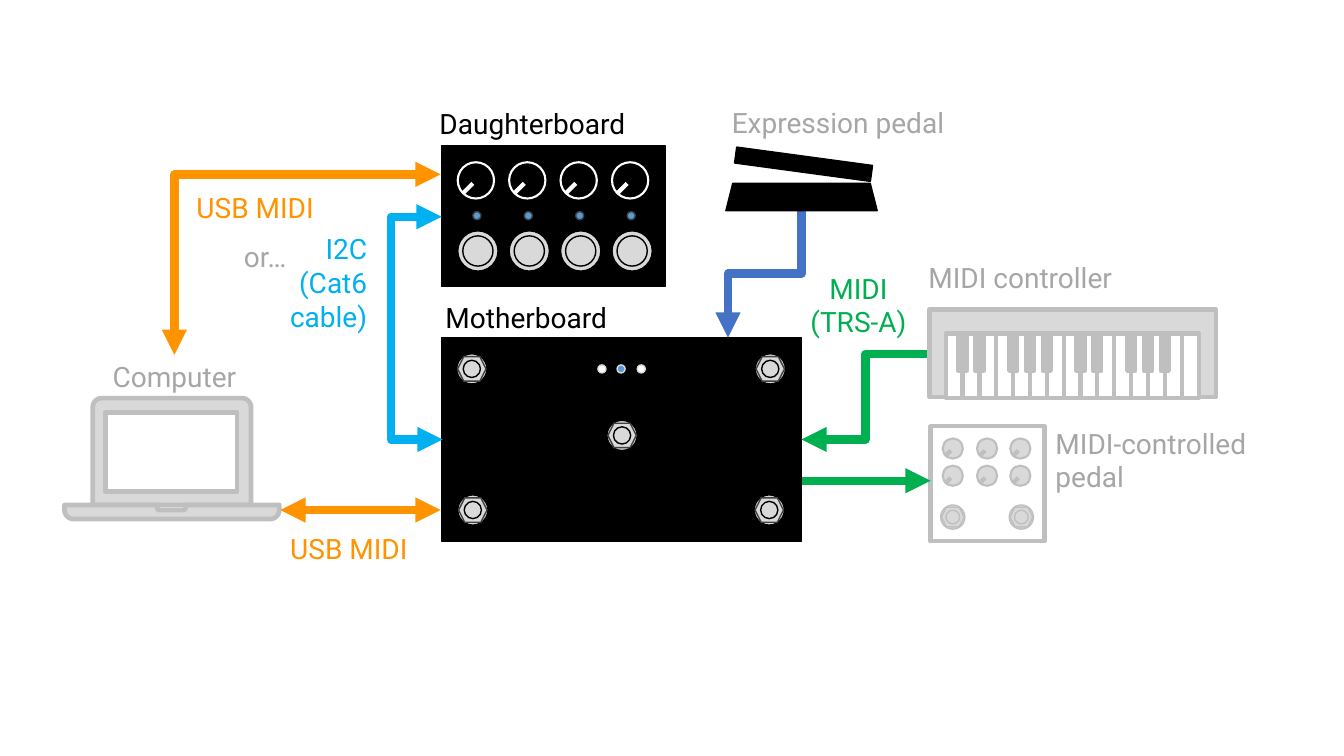
"""Build a slide showing how a MIDI motherboard connects to its surrounding devices."""
import math
from lxml import etree
from pptx import Presentation, util as u
from pptx.dml.color import RGBColor
from pptx.enum import shapes, text
from pptx.oxml.ns import qn

COLOURS = {"black": "000000", "white": "FFFFFF", "light": "D9D9D9", "mid": "BFBFBF",
           "label": "A6A6A6", "dark": "404040", "led": "5B9BD5", "usb": "FF9300",
           "i2c": "00B0F0", "midi": "00B050", "expression": "4472C4"}
RGB = {name: RGBColor.from_string(code) for name, code in COLOURS.items()}
KIND, LINK = shapes.MSO_SHAPE, shapes.MSO_CONNECTOR


def put(parent, kind, box, fill, line, width=1):
    part = parent.shapes.add_shape(kind, *map(u.Inches, box))
    part.shadow.inherit = False
    if fill:
        part.fill.solid()
        part.fill.fore_color.rgb = RGB[fill]
    else:
        part.fill.background()
    part.line.color.rgb = RGB[line]
    part.line.width = u.Pt(width)
    return part


def link(parent, kind, ends, colour, width, arrows=()):
    wire = parent.shapes.add_connector(kind, *map(u.Inches, ends))
    wire.line.color.rgb = RGB[colour]
    wire.line.width = u.Pt(width)
    properties = wire._element.spPr
    for arrow in arrows:
        etree.SubElement(properties.find(qn("a:ln")), qn(f"a:{arrow}End"), type="triangle")
    etree.SubElement(properties, qn("a:effectLst"))
    return properties


deck = Presentation()
deck.slide_width, deck.slide_height = u.Inches(13.33), u.Inches(7.5)
slide = deck.slides.add_slide(deck.slide_layouts[6])
daughterboard, motherboard, computer, pedal = [
    slide.shapes.add_group_shape() for _ in range(4)]

put(daughterboard, KIND.RECTANGLE, (4.38, 1.45, 2.22, 1.39), "black", "black")
for column in range(4):
    x = 4.54 + 0.51 * column
    put(daughterboard, KIND.OVAL, (x, 1.61, 0.36, 0.36), "black", "white", 1.5)
    link(daughterboard, LINK.STRAIGHT, (x + 0.05, 1.92, x + 0.15, 1.82), "white", 3)
    put(daughterboard, KIND.OVAL, (x + 0.15, 2.1, 0.08, 0.08), "led", "dark")
    put(daughterboard, KIND.OVAL, (x, 2.29, 0.4, 0.4), "light", "black")
    put(daughterboard, KIND.OVAL, (x + 0.05, 2.34, 0.3, 0.3), "light", "black")

put(motherboard, KIND.RECTANGLE, (4.38, 3.35, 3.57, 2.02), "black", "black")
for x, fill in ((5.93, "white"), (6.12, "led"), (6.32, "white")):
    put(motherboard, KIND.OVAL, (x, 3.62, 0.08, 0.08), fill, "light")

put(pedal, KIND.RECTANGLE, (9.23, 4.23, 1.13, 1.14), None, "mid", 3)
board_switches = [(4.68, 3.66), (7.64, 3.66), (4.69, 5.06), (7.63, 5.06), (6.17, 4.32)]
pedal_switches = [(9.45, 5.13), (10.13, 5.13)]
for device, centres, size, rim, nut in (
        (motherboard, board_switches, 0.3, "black", "dark"),
        (pedal, pedal_switches, 0.24, "mid", "mid")):
    for x, y in centres:
        for kind, across, down, line in ((KIND.OVAL, 1, 1, rim),
                                         (KIND.HEXAGON, 0.94, 0.81, nut),
                                         (KIND.OVAL, 0.57, 0.57, rim)):
            w, h = size * across, size * down
            put(device, kind, (x - w / 2, y - h / 2, w, h), "light", line)

for y in (4.35, 4.62):
    for x in (9.35, 9.69, 10.02):
        put(pedal, KIND.OVAL, (x, y, 0.2, 0.2), "light", "mid", 1.5)
        link(pedal, LINK.STRAIGHT, (x + 0.03, y + 0.17, x + 0.08, y + 0.12), "mid", 3)

arcs = {}
for name, x, y, radius, start in (
        ("lid right", 2.4, 4.04, 0.09, 0), ("lid left", 1.01, 4.04, 0.09, 90),
        ("base left", 0.73, 5.06, 0.09, 180), ("base right", 2.68, 5.06, 0.09, 270),
        ("notch left", 1.58, 5.04, 0.02, 180), ("notch right", 1.82, 5.04, 0.02, 270)):
    arcs[name] = [(x + radius * math.cos(math.radians(start + step)),
                   y - radius * math.sin(math.radians(start + step)))
                  for step in range(0, 91, 15)]
screen = [(2.35, 4.88), (1.05, 4.88), (1.05, 4.09), (2.35, 4.09)]
lid = [(2.49, 5.01)] + arcs["lid right"] + arcs["lid left"] + [(0.92, 5.01)]
base = ([(0.64, 5.01)] + arcs["base left"] + arcs["base right"] + [(2.77, 5.01), (1.84, 5.01)]
        + arcs["notch right"][::-1] + arcs["notch left"][::-1] + [(1.56, 5.01)])
for contours in ((screen, lid), (base,)):
    outlines = [[(u.Inches(x), u.Inches(y)) for x, y in contour] for contour in contours]
    builder = computer.shapes.build_freeform(*outlines[0][0])
    builder.add_line_segments(outlines[0][1:])
    for outline in outlines[1:]:
        builder.move_to(*outline[0])
        builder.add_line_segments(outline[1:])
    half = builder.convert_to_shape()
    half.shadow.inherit = False
    half.fill.solid()
    half.fill.fore_color.rgb = RGB["light"]
    half.line.color.rgb = RGB["mid"]
    half.line.width = u.Pt(3.35)

both = ("head", "tail")
i2c = link(slide, LINK.ELBOW, (4.38, 2.15, 4.39, 4.36), "i2c", 6, both)
etree.SubElement(i2c.find(qn("a:prstGeom")).find(qn("a:avLst")), qn("a:gd"),
                 name="adj1", fmla="val -5100000")
link(slide, LINK.STRAIGHT, (4.37, 5.06, 2.78, 5.06), "usb", 6, both)
link(slide, LINK.STRAIGHT, (7.95, 4.77, 9.23, 4.77), "midi", 6, ("tail",))
link(slide, LINK.ELBOW, (9.22, 3.51, 7.95, 4.36), "midi", 6, ("tail",))
expression = link(slide, LINK.ELBOW, (6.95, 2.35, 8.22, 3.08), "expression", 6, ("tail",))
expression.find(qn("a:xfrm")).set("rot", "5400000")
usb = link(slide, LINK.ELBOW, (4.37, 1.73, 1.73, 3.52), "usb", 6, both)
usb.find(qn("a:prstGeom")).set("prst", "bentConnector2")

keyboard = slide.shapes.add_group_shape()
put(keyboard, KIND.RECTANGLE, (9.22, 3.07, 2.84, 0.87), "light", "mid", 3)
pitch = 2.34 / 14
for key in range(15):
    put(keyboard, KIND.RECTANGLE, (9.38 + pitch * key, 3.31, 0.17, 0.64), "white", "mid", 3)
for key in (1, 2, 4, 5, 6, 8, 9, 11, 12, 13):
    put(keyboard, KIND.RECTANGLE, (9.34 + pitch * key, 3.31, 0.08, 0.37), "mid", "mid", 3)

treadle = slide.shapes.add_group_shape()
put(treadle, KIND.TRAPEZOID, (7.2, 1.82, 1.5, 0.27), "black", "black")
put(treadle, KIND.RECTANGLE, (7.29, 1.55, 1.36, 0.16), "black", "black").rotation = 7.7

left, centre, right = text.PP_ALIGN.LEFT, text.PP_ALIGN.CENTER, text.PP_ALIGN.RIGHT
for wording, box, colour, align in (
        ("USB MIDI", (2.78, 5.22, 1.59, 0.44), "usb", left),
        ("I2C\n(Cat6\ncable)", (0.95, 2.25, 2.79, 1.11), "i2c", right),
        ("MIDI\n(TRS-A)", (7.88, 2.64, 1.27, 0.77), "midi", centre),
        ("Daughterboard", (4.26, 1.01, 2.52, 0.44), "black", left),
        ("Motherboard", (4.32, 2.93, 2.52, 0.44), "black", left),
        ("MIDI controller", (9.11, 2.54, 2.52, 0.44), "label", left),
        ("MIDI-controlled pedal", (10.37, 4.18, 2.52, 0.77), "label", left),
        ("Expression pedal", (7.16, 1, 2.52, 0.44), "label", left),
        ("Computer", (0.47, 3.52, 2.52, 0.44), "label", centre),
        ("or…", (2.32, 2.33, 0.87, 0.44), "label", left),
        ("USB MIDI", (1.85, 1.84, 1.59, 0.44), "usb", left)):
    frame = slide.shapes.add_textbox(*map(u.Inches, box)).text_frame
    frame.text = wording
    frame.word_wrap = True
    for line in frame.paragraphs:
        line.alignment = align
        for attribute, value in {"name": "Roboto", "size": u.Pt(20)}.items():
            setattr(line.font, attribute, value)
        line.font.color.rgb = RGB[colour]

deck.save("out.pptx")
